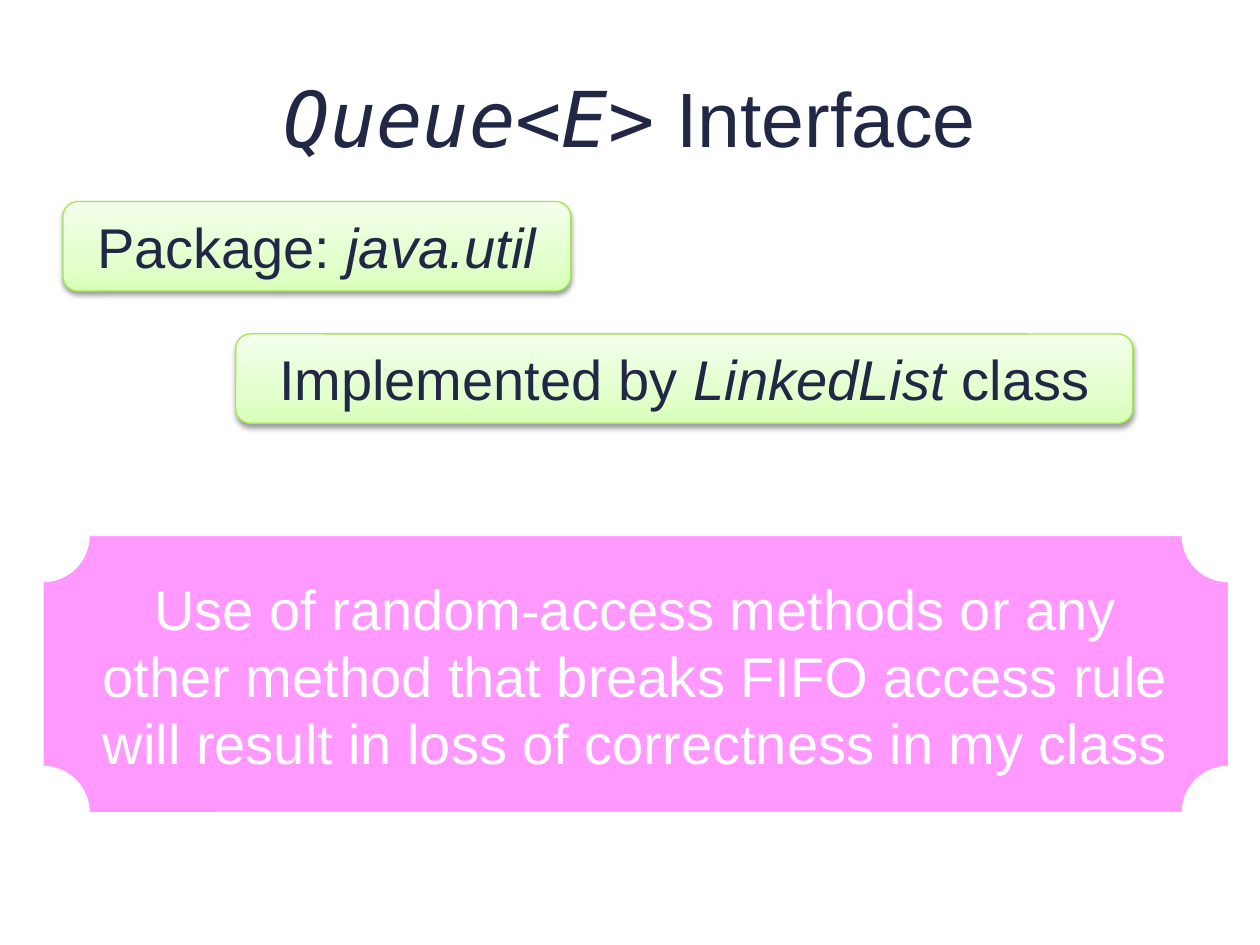
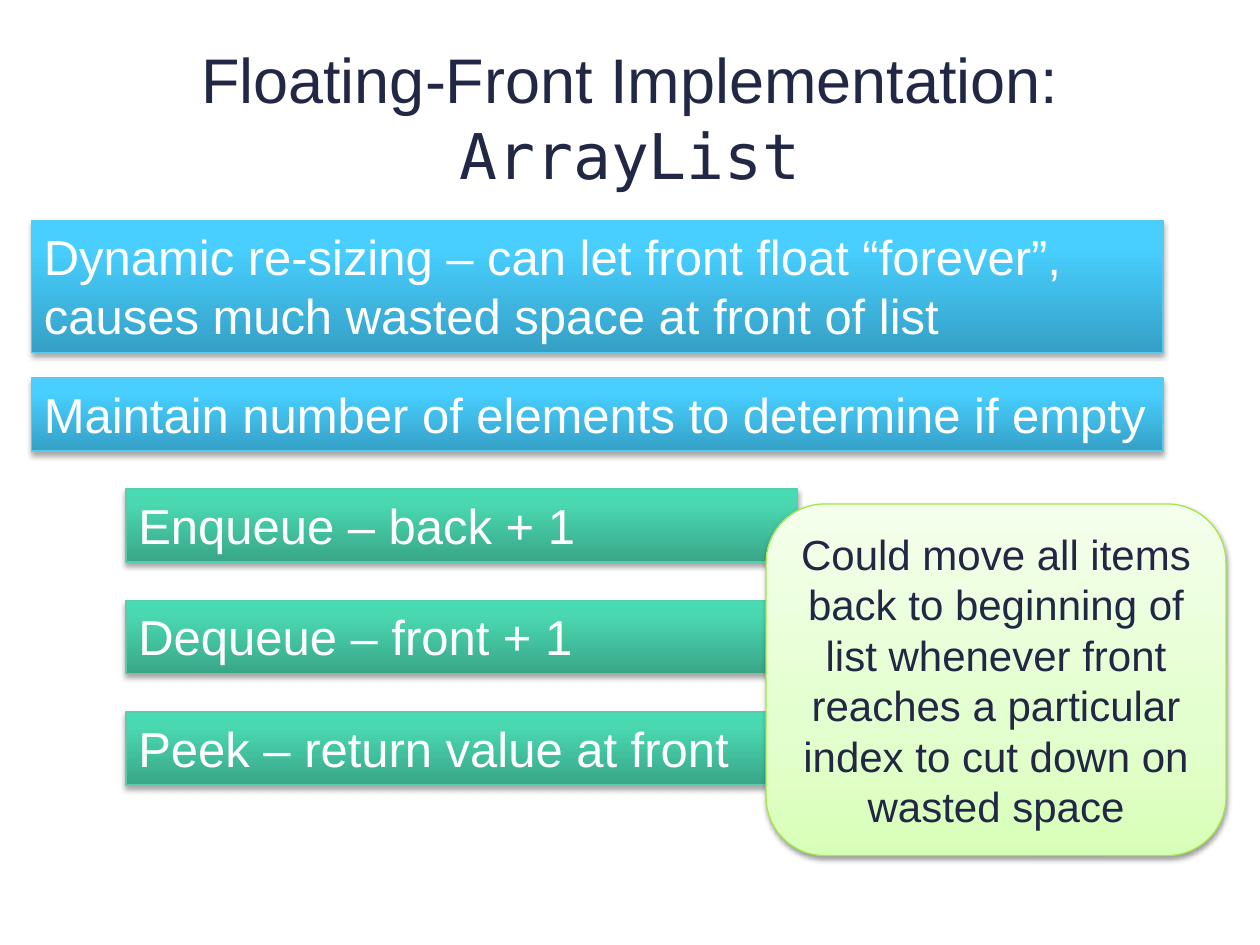
import copy
from dataclasses import dataclass

import pptx
import pptx.dml.color
import pptx.enum.shapes
import pptx.enum.text
import pptx.oxml
import pptx.oxml.ns
import pptx.util

SHAPE = pptx.enum.shapes.MSO_SHAPE
ALIGN = pptx.enum.text.PP_ALIGN
ANCHOR = pptx.enum.text.MSO_ANCHOR
AUTO_SIZE = pptx.enum.text.MSO_AUTO_SIZE


# Theme and styles
@dataclass(frozen=True)
class Theme:
    ink: str = "212745"
    white: str = "FFFFFF"
    pink: str = "FF99FF"
    font: str = "Arial"
    code_font: str = "DejaVu Sans Mono"
    title_size: int = 44
    long_title_size: int = 36
    statement_size: int = 32
    bar_size: int = 28
    callout_size: int = 24
    line_width: float = 0.75


THEME = Theme()


@dataclass(frozen=True)
class Shadow:
    opacity: int
    distance: float
    blur: float = 3.1


@dataclass(frozen=True)
class Style:
    """A single colour gives a solid fill, several give a gradient from the bottom up."""
    fill: tuple[tuple[int, str], ...]
    line: str
    text: str
    size: int
    align: ALIGN
    shadow: Shadow | None = None


GREEN_FILL = ((0, "D8FFB8"), (35, "E3FFCD"), (100, "F4FFEC"))
GREEN_LINE = "A4E94C"
SOFT_SHADOW = Shadow(38, 1.6)
BAR_SHADOW = Shadow(35, 1.8)

STATEMENT = Style(GREEN_FILL, GREEN_LINE, THEME.ink, THEME.statement_size,
                  ALIGN.CENTER, SOFT_SHADOW)
CALLOUT = Style(GREEN_FILL, GREEN_LINE, THEME.ink, THEME.callout_size,
                ALIGN.CENTER, SOFT_SHADOW)
WARNING = Style(((0, THEME.pink),), THEME.white, THEME.white,
                THEME.statement_size, ALIGN.CENTER)
BLUE_BAR = Style(((0, "35A0C6"), (80, "48CFFF"), (100, "49CFFF")), "58C9F1",
                 THEME.white, THEME.bar_size, ALIGN.LEFT, BAR_SHADOW)
TEAL_BAR = Style(((0, "39A688"), (80, "4AD8B1"), (100, "47DCB3")), "58CCAC",
                 THEME.white, THEME.bar_size, ALIGN.LEFT, BAR_SHADOW)


# Grid: ten columns and seven and a half rows
SLIDE_WIDTH = pptx.util.Inches(10)
SLIDE_HEIGHT = pptx.util.Inches(7.5)
COLUMN = SLIDE_WIDTH / 10
ROW = SLIDE_HEIGHT / 7.5


@dataclass(frozen=True)
class Area:
    column: float
    row: float
    columns: float
    rows: float

    def lengths(self) -> tuple[int, int, int, int]:
        return (round(self.column * COLUMN), round(self.row * ROW),
                round(self.columns * COLUMN), round(self.rows * ROW))


TITLE_AREA = Area(0.5, 0.3, 9, 1.25)


@dataclass(frozen=True)
class Span:
    text: str
    italic: bool = False
    code: bool = False


@dataclass(frozen=True)
class Box:
    area: Area
    style: Style
    spans: tuple[Span, ...]
    kind: SHAPE = SHAPE.RECTANGLE
    anchor: ANCHOR = ANCHOR.TOP
    wrap: bool = True


# Drawing
def colour(value: str) -> pptx.dml.color.RGBColor:
    return pptx.dml.color.RGBColor.from_string(value)


def write_spans(paragraph, spans: tuple[Span, ...], size: int,
                text_colour: str, align: ALIGN) -> None:
    paragraph.alignment = align
    for span in spans:
        run = paragraph.add_run()
        run.text = span.text.rstrip("\n")
        run.font.name = THEME.code_font if span.code else THEME.font
        run.font.size = pptx.util.Pt(size)
        run.font.italic = span.italic
        run.font.color.rgb = colour(text_colour)
        if span.text.endswith("\n"):
            paragraph.add_line_break()


def paint(shape, stops: tuple[tuple[int, str], ...]) -> None:
    if len(stops) == 1:
        shape.fill.solid()
        shape.fill.fore_color.rgb = colour(stops[0][1])
        return
    shape.fill.gradient()
    shape.fill.gradient_angle = 90
    stop_list = shape._element.spPr.find(".//" + pptx.oxml.ns.qn("a:gsLst"))
    while len(stop_list) < len(stops):
        stop_list.append(copy.deepcopy(stop_list[-1]))
    for stop, (position, value) in zip(shape.fill.gradient_stops, stops):
        stop.position = position / 100
        stop.color.rgb = colour(value)


def cast_shadow(shape, shadow: Shadow | None) -> None:
    shape.shadow.inherit = False
    if shadow is None:
        return
    effects = shape._element.spPr.find(pptx.oxml.ns.qn("a:effectLst"))
    effects.append(pptx.oxml.parse_xml(
        f'<a:outerShdw {pptx.oxml.ns.nsdecls("a")} blurRad="{pptx.util.Pt(shadow.blur)}" '
        f'dist="{pptx.util.Pt(shadow.distance)}" dir="5400000" rotWithShape="0">'
        f'<a:srgbClr val="000000"><a:alpha val="{shadow.opacity * 1000}"/></a:srgbClr>'
        '</a:outerShdw>'))


def draw_box(slide, box: Box) -> None:
    shape = slide.shapes.add_shape(box.kind, *box.area.lengths())
    paint(shape, box.style.fill)
    shape.line.color.rgb = colour(box.style.line)
    shape.line.width = pptx.util.Pt(THEME.line_width)
    cast_shadow(shape, box.style.shadow)
    frame = shape.text_frame
    frame.word_wrap = box.wrap
    frame.auto_size = AUTO_SIZE.SHAPE_TO_FIT_TEXT
    frame.vertical_anchor = box.anchor
    write_spans(frame.paragraphs[0], box.spans, box.style.size,
                box.style.text, box.style.align)


def add_slide(presentation, title: tuple[Span, ...], title_size: int,
              boxes: list[Box]) -> None:
    slide = presentation.slides.add_slide(presentation.slide_layouts.get_by_name("Title Only"))
    heading = slide.shapes.title
    heading.left, heading.top, heading.width, heading.height = TITLE_AREA.lengths()
    heading.text_frame.auto_size = AUTO_SIZE.NONE
    heading.text_frame.vertical_anchor = ANCHOR.MIDDLE
    write_spans(heading.text_frame.paragraphs[0], title, title_size,
                THEME.ink, ALIGN.CENTER)
    for box in boxes:
        draw_box(slide, box)


# Slide contents
def queue_interface_boxes() -> list[Box]:
    return [
        Box(Area(0.5, 1.6, 4.03, 0.71), STATEMENT,
            (Span("Package: "), Span("java.util", italic=True)),
            SHAPE.ROUNDED_RECTANGLE),
        Box(Area(1.87, 2.65, 7.12, 0.71), STATEMENT,
            (Span("Implemented by "), Span("LinkedList ", italic=True), Span("class")),
            SHAPE.ROUNDED_RECTANGLE),
        Box(Area(0.34, 4.25, 9.41, 2.2), WARNING,
            (Span("Use of random-access methods or any other method that breaks "
                  "FIFO access rule will result in loss of correctness in my class"),),
            SHAPE.PLAQUE),
    ]


def floating_front_boxes() -> list[Box]:
    operations = ("Enqueue – back + 1", "Dequeue – front + 1",
                  "Peek – return value at front")
    first_row, last_row = 3.88, 5.65
    pitch = (last_row - first_row) / (len(operations) - 1)
    operation_bars = [
        Box(Area(1, first_row + index * pitch, 5.33, 0.58), TEAL_BAR, (Span(operation),))
        for index, operation in enumerate(operations)
    ]
    return operation_bars + [
        Box(Area(0.25, 3, 8.98, 0.58), BLUE_BAR,
            (Span("Maintain number of elements to determine if empty"),), wrap=False),
        Box(Area(0.25, 1.75, 8.98, 1.05), BLUE_BAR,
            (Span("Dynamic re-sizing – can let front float “forever”, "
                  "causes much wasted space at front of list"),)),
        Box(Area(6.08, 4, 3.65, 2.79), CALLOUT,
            (Span("Could move all items back to beginning of list whenever front "
                  "reaches a particular index to cut down on wasted space"),),
            SHAPE.ROUNDED_RECTANGLE, ANCHOR.MIDDLE),
    ]


def main() -> None:
    presentation = pptx.Presentation()
    presentation.slide_width = SLIDE_WIDTH
    presentation.slide_height = SLIDE_HEIGHT
    add_slide(presentation,
              (Span("Queue<E>", italic=True, code=True), Span(" Interface")),
              THEME.title_size, queue_interface_boxes())
    add_slide(presentation,
              (Span("Floating-Front Implementation:\n"), Span("ArrayList", code=True)),
              THEME.long_title_size, floating_front_boxes())
    presentation.save("out.pptx")


if __name__ == "__main__":
    main()
